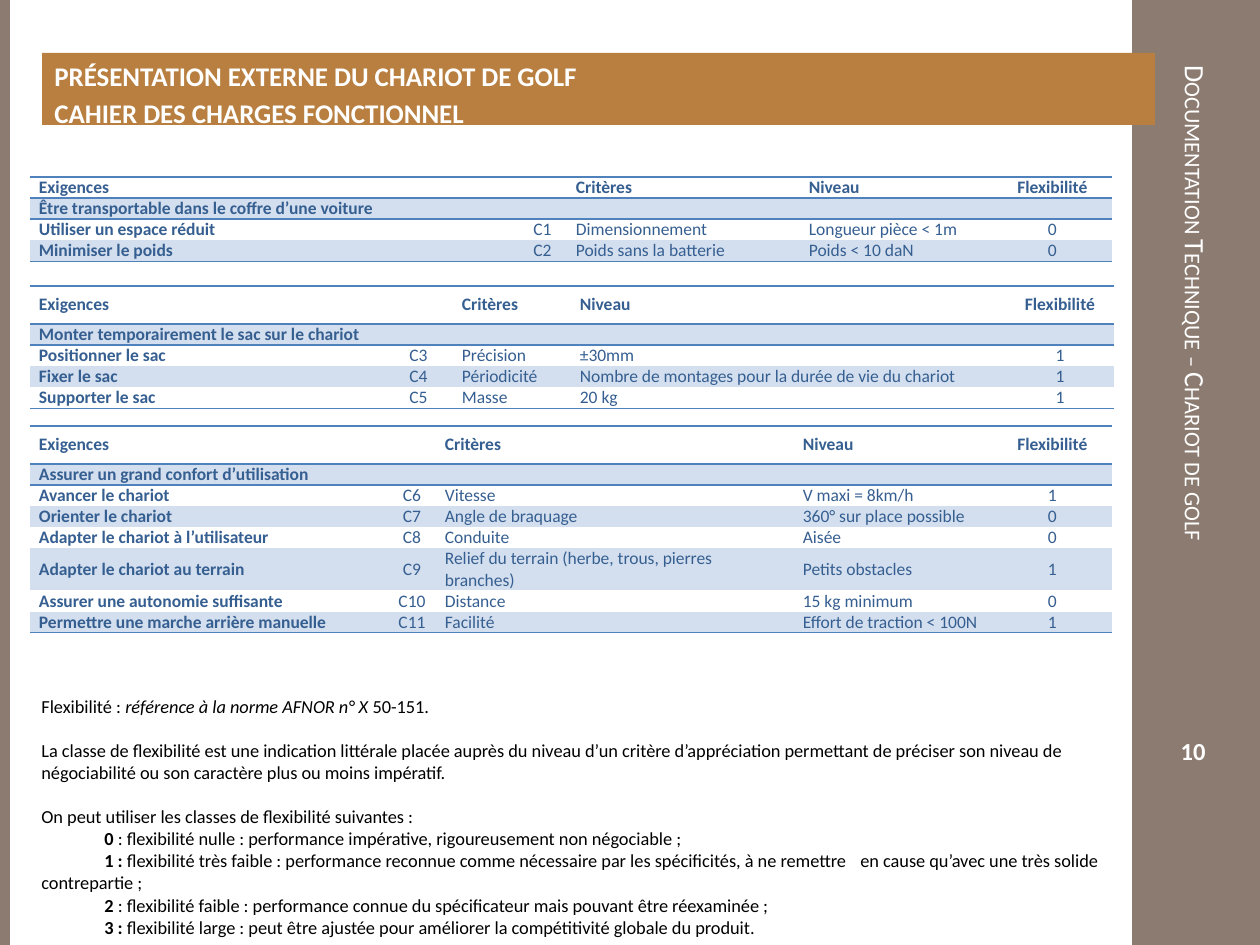
import lxml.etree
import pptx
import pptx.dml.color
import pptx.enum.shapes
import pptx.enum.text
import pptx.oxml.ns
import pptx.util

EMU_PER_PX = 914400 / 126
NO_TABLE_STYLE = "{2D5ABB26-0587-4C30-8999-92F81FD0307C}"
LEFT = pptx.enum.text.PP_ALIGN.LEFT
CENTER = pptx.enum.text.PP_ALIGN.CENTER
TOP = pptx.enum.text.MSO_ANCHOR.TOP
MIDDLE = pptx.enum.text.MSO_ANCHOR.MIDDLE


def px(length):
    return pptx.util.Emu(round(length * EMU_PER_PX))


def color(value):
    return pptx.dml.color.RGBColor.from_string(value)


def child(parent, tag, **attributes):
    return lxml.etree.SubElement(parent, pptx.oxml.ns.qn(tag), attributes)


class SlideBuilder:
    font_name = "Calibri"
    taupe = "8C7B70"
    ochre = "B87F40"
    white = "FFFFFF"
    black = "000000"
    table_text = "365F91"
    table_line = "4F81BD"
    table_band = "D3DFEE"
    table_size = 10
    row_height = 21

    def __init__(self, slide):
        self.slide = slide

    def style(self, paragraph, size, hex_color, bold=None, align=LEFT):
        paragraph.alignment = align
        font = paragraph.font
        font.name = self.font_name
        font.size = pptx.util.Pt(size)
        font.color.rgb = color(hex_color)
        font.bold = bold

    def rectangle(self, left, top, width, height, fill):
        shape = self.slide.shapes.add_shape(
            pptx.enum.shapes.MSO_SHAPE.RECTANGLE, px(left), px(top), px(width), px(height))
        shape.shadow.inherit = False
        shape.fill.solid()
        shape.fill.fore_color.rgb = color(fill)
        shape.line.fill.background()
        return shape

    def banner(self, left, top, width, height, lines):
        frame = self.rectangle(left, top, width, height, self.ochre).text_frame
        frame.word_wrap = True
        frame.vertical_anchor = TOP
        for index, line in enumerate(lines):
            paragraph = frame.add_paragraph() if index else frame.paragraphs[0]
            paragraph.text = line
            self.style(paragraph, 15.4, self.white, True)
            if index:
                paragraph.space_before = pptx.util.Pt(3.08)

    def text(self, left, top, width, height, paragraphs, size, hex_color,
             bold=None, align=LEFT):
        box = self.slide.shapes.add_textbox(px(left), px(top), px(width), px(height))
        frame = box.text_frame
        frame.word_wrap = True
        frame.vertical_anchor = MIDDLE
        for index, (gap, runs) in enumerate(paragraphs):
            paragraph = frame.add_paragraph() if index else frame.paragraphs[0]
            if gap:
                paragraph.space_before = pptx.util.Pt(gap)
            self.style(paragraph, size, hex_color, bold, align)
            for content, emphasis in runs:
                run = paragraph.add_run()
                run.text = content
                if emphasis == "bold":
                    run.font.bold = True
                elif emphasis == "italic":
                    run.font.italic = True
        return frame

    def vertical_label(self, left, top, width, height, label):
        frame = self.text(left, top, width, height, [(0, [(label, None)])], 16, self.white)
        frame._txBody.bodyPr.set("vert", "vert")
        frame.paragraphs[0].runs[0].font._element.set("cap", "small")

    def border(self, cell, side):
        line = child(cell._tc.get_or_add_tcPr(), side, w=str(pptx.util.Pt(1)))
        child(child(line, "a:solidFill"), "a:srgbClr", val=self.table_line)

    def cell(self, cell, content, bold, align, banded, sides):
        cell.margin_left = cell.margin_right = px(9)
        cell.margin_top = cell.margin_bottom = 0
        cell.vertical_anchor = MIDDLE
        for side in sides:
            self.border(cell, side)
        if banded:
            cell.fill.solid()
            cell.fill.fore_color.rgb = color(self.table_band)
        else:
            cell.fill.background()
        paragraph = cell.text_frame.paragraphs[0]
        self.style(paragraph, self.table_size, self.table_text, bold, align)
        if content:
            paragraph.add_run().text = content
        else:
            child(paragraph._p, "a:endParaRPr", sz=str(self.table_size * 100))

    def requirements(self, left, top, widths, header_height, function, rows):
        header = ("Exigences", "", "Critères", "Niveau", "Flexibilité")
        grid = [header, (function, "", "", "", ""), *rows]
        height = header_height + self.row_height * (len(grid) - 1)
        frame = self.slide.shapes.add_table(
            len(grid), len(widths), px(left), px(top), px(sum(widths)), px(height))
        table = frame.table
        table._tbl.tblPr.find(pptx.oxml.ns.qn("a:tableStyleId")).text = NO_TABLE_STYLE
        for column, width in zip(table.columns, widths):
            column.width = px(width)
        for row_index, values in enumerate(grid):
            table.rows[row_index].height = px(self.row_height if row_index else header_height)
            sides = {0: ("a:lnT", "a:lnB"), 1: ("a:lnT",),
                     len(grid) - 1: ("a:lnB",)}.get(row_index, ())
            for column_index, value in enumerate(values):
                self.cell(table.cell(row_index, column_index), value,
                          row_index == 0 or column_index == 0,
                          CENTER if column_index in (1, 4) else LEFT,
                          row_index % 2 == 1, sides)
        table.cell(1, 0).merge(table.cell(1, len(widths) - 1))


def main():
    presentation = pptx.Presentation()
    presentation.slide_width = px(1260)
    presentation.slide_height = px(945)
    builder = SlideBuilder(presentation.slides.add_slide(presentation.slide_layouts[6]))

    builder.rectangle(1132, 0, 142, 945, builder.taupe)
    builder.rectangle(0, 0, 10, 945, builder.taupe)
    builder.vertical_label(1132, 53, 128, 809, "Documentation Technique – Chariot de golf")
    builder.text(1126, 731, 134, 39, [(0, [("10", None)])], 14, builder.white, True, CENTER)
    builder.banner(42, 53, 1113, 72, ["PRÉSENTATION EXTERNE DU CHARIOT DE GOLF",
                                      "CAHIER DES CHARGES FONCTIONNEL"])

    builder.requirements(30, 177, (488, 49, 233, 193, 119), 21,
                         "Être transportable dans le coffre d’une voiture", [
        ("Utiliser un espace réduit", "C1", "Dimensionnement", "Longueur pièce < 1m", "0"),
        ("Minimiser le poids", "C2", "Poids sans la batterie", "Poids < 10 daN", "0"),
    ])
    builder.requirements(30, 286, (354, 69, 118, 435, 108), 38,
                         "Monter temporairement le sac sur le chariot", [
        ("Positionner le sac", "C3", "Précision", "±30mm", "1"),
        ("Fixer le sac", "C4", "Périodicité",
         "Nombre de montages pour la durée de vie du chariot", "1"),
        ("Supporter le sac", "C5", "Masse", "20 kg", "1"),
    ])
    builder.requirements(30, 426, (358, 48, 358, 199, 119), 38,
                         "Assurer un grand confort d’utilisation", [
        ("Avancer le chariot", "C6", "Vitesse", "V maxi = 8km/h", "1"),
        ("Orienter le chariot", "C7", "Angle de braquage", "360° sur place possible", "0"),
        ("Adapter le chariot à l’utilisateur", "C8", "Conduite", "Aisée", "0"),
        ("Adapter le chariot au terrain", "C9",
         "Relief du terrain (herbe, trous, pierres branches)", "Petits obstacles", "1"),
        ("Assurer une autonomie suffisante", "C10", "Distance", "15 kg minimum", "0"),
        ("Permettre une marche arrière manuelle", "C11", "Facilité",
         "Effort de traction < 100N", "1"),
    ])

    builder.text(29, 688, 1092, 257, [
        (0, [("Flexibilité : ", None), ("référence à la norme AFNOR n° X ", "italic"),
             ("50-151.", None)]),
        (12.6, [("La classe de flexibilité est une indication littérale placée auprès du niveau "
                 "d’un critère d’appréciation permettant de préciser son niveau de négociabilité "
                 "ou son caractère plus ou moins impératif.", None)]),
        (12.6, [("On peut utiliser les classes de flexibilité suivantes :", None)]),
        (0, [("\t0 ", "bold"), (": flexibilité nulle : performance impérative, "
                                "rigoureusement non négociable ;", None)]),
        (0, [("\t1 : ", "bold"), ("flexibilité très faible : performance reconnue comme "
                                  "nécessaire par les spécificités, à ne remettre \ten cause "
                                  "qu’avec une très solide contrepartie ;", None)]),
        (0, [("\t2 ", "bold"), (": flexibilité faible : performance connue du spécificateur "
                                "mais pouvant être réexaminée ;", None)]),
        (0, [("\t3 : ", "bold"), ("flexibilité large : peut être ajustée pour améliorer la "
                                  "compétitivité globale du produit.", None)]),
    ], 10.5, builder.black)

    presentation.save("out.pptx")


if __name__ == "__main__":
    main()
